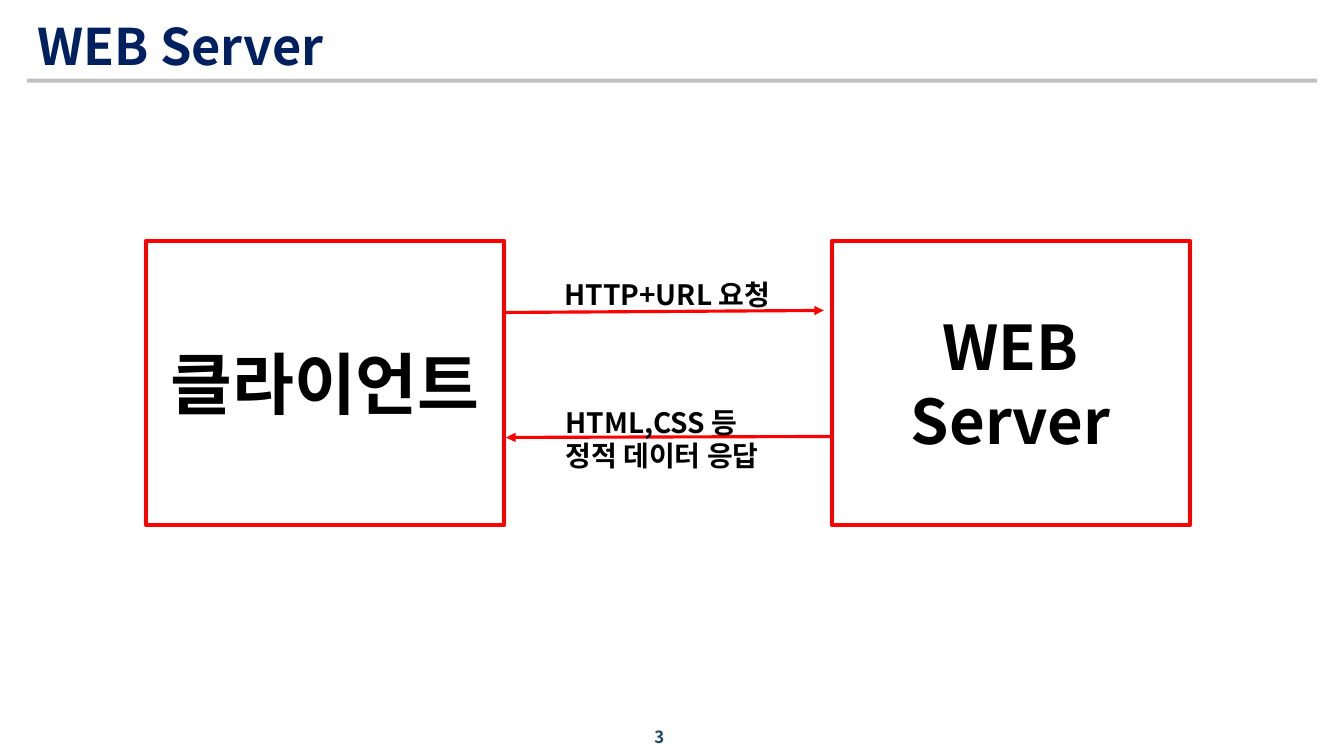
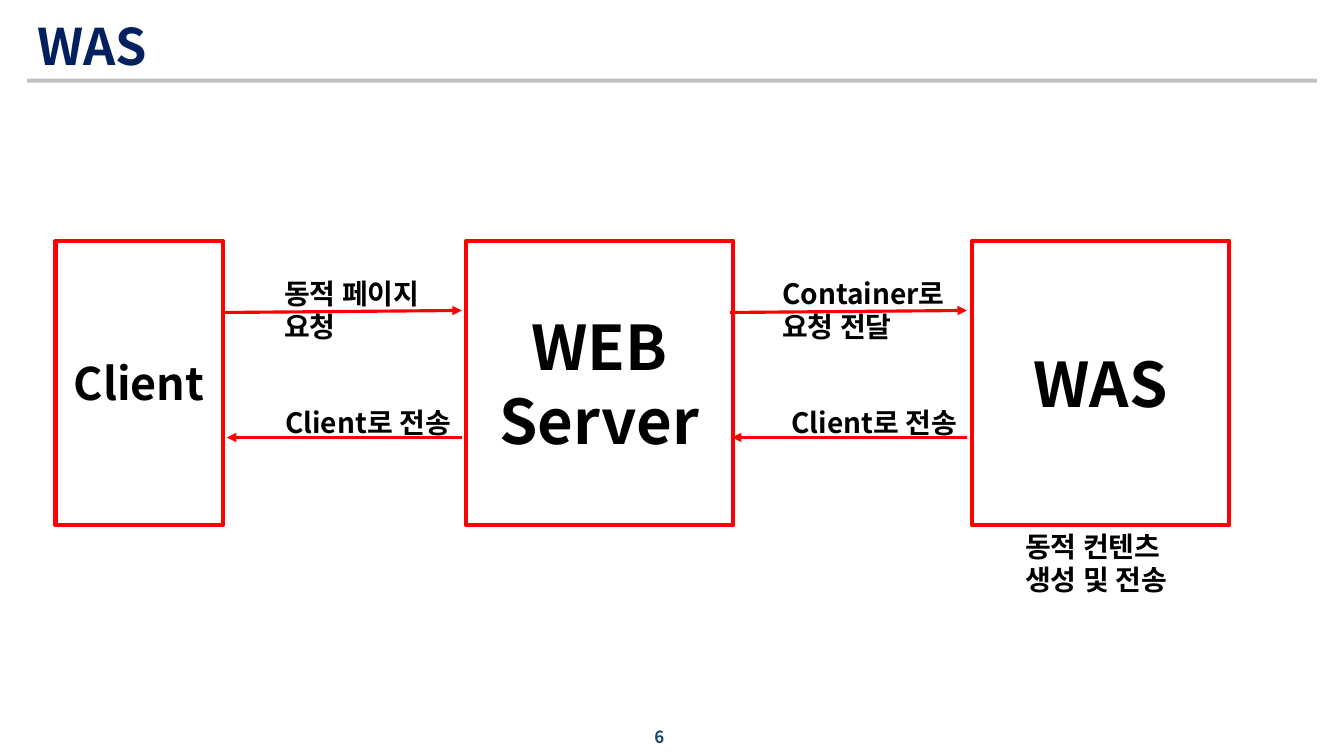
from dataclasses import dataclass

from lxml.etree import SubElement as Sub
from pptx import Presentation
from pptx.dml.color import RGBColor
from pptx.enum.shapes import MSO_CONNECTOR as Conn, MSO_SHAPE as Form
from pptx.enum.text import MSO_ANCHOR as Anchor, MSO_AUTO_SIZE as Auto, PP_ALIGN as Align
from pptx.oxml.ns import qn
from pptx.util import Emu, Pt

SCALE = 9144  # one px is 1/100 inch
FACE = "Noto Sans CJK KR"
NAVY, BLUE, GRAY, RED, BLACK = "002060", "18476D", "C0C0C0", "FF0000", "000000"
TOP, HIGH = 239, 282  # row of boxes


@dataclass
class Box:
    text: str
    left: int
    width: int
    size: int = 44


@dataclass
class Arrow:
    start: tuple[int, int]
    end: tuple[int, int]


@dataclass
class Label:
    lines: list[str]
    left: int
    top: int
    width: int
    height: int = 77


@dataclass
class Page:
    title: str
    number: str
    boxes: list[Box]
    arrows: list[Arrow]
    labels: list[Label]


PAGES = [
    Page(
        "WEB Server", "3",
        [Box("클라이언트", 145, 355, 48), Box("WEB Server", 825, 355)],
        [Arrow((500, 310), (817, 308)), Arrow((825, 433), (502, 434))],
        [Label(["HTTP+URL 요청"], 550, 270, 261, 44),
         Label(["HTML,CSS 등", "정적 데이터 응답"], 551, 397, 260)],
    ),
    Page(
        "WAS", "6",
        [Box("Client", 55, 166, 32), Box("WEB Server", 462, 265), Box("WAS", 964, 255)],
        [arrow for x in (223, 724) for arrow in (
            Arrow((x, 310), (x + 235, 308)), Arrow((x + 235, 434), (x + 2, 434)))],
        [Label(["동적 페이지 요청"], 272, 269, 186),
         Label(["Client로 전송"], 273, 397, 260, 44),
         Label(["Container로 요청 전달"], 766, 269, 184),
         Label(["Client로 전송"], 775, 397, 260, 44),
         Label(["동적 컨텐츠 생성 및 전송"], 1007, 520, 184)],
    ),
]


def px(*nums: int) -> list[Emu]:
    return [Emu(num * SCALE) for num in nums]


def color(code: str) -> RGBColor:
    return RGBColor.from_string(code)


def apply(item, form: dict) -> None:
    for key, value in form.items():
        setattr(item, key, value)


def write(shape, lines: list[str], size: int, ink: str = BLACK,
          align=Align.LEFT, **form) -> None:
    """Fill a shape with bold text, one paragraph per line."""
    frame = shape.text_frame
    apply(frame, {"word_wrap": True, "auto_size": Auto.NONE} | form)
    frame.text = "\n".join(lines)
    for para in frame.paragraphs:
        para.alignment = align
        for run in para.runs:
            run.font.color.rgb = color(ink)
            apply(run.font, {"size": Pt(size), "bold": True, "name": FACE})
            Sub(run.font._element, qn("a:ea"), typeface=FACE)


def add_frame(slide, page: Page) -> None:
    """Title, rule and page number shared by all slides."""
    rule = slide.shapes.add_shape(Form.RECTANGLE, *px(27, 78, 1279, 4))
    rule.shadow.inherit = False
    rule.fill.solid()
    rule.fill.fore_color.rgb = color(GRAY)
    rule.line.fill.background()

    title = slide.shapes.title
    apply(title, dict(zip(("left", "top", "width", "height"), px(27, 10, 1276, 70))))
    write(title, [page.title], 36, NAVY, vertical_anchor=Anchor.MIDDLE)

    number = slide.shapes.add_textbox(*px(649, 713, 34, 36))
    write(number, [page.number], 12, BLUE, vertical_anchor=Anchor.MIDDLE,
          word_wrap=False, margin_left=0, margin_right=0)


def add_box(slide, box: Box) -> None:
    shape = slide.shapes.add_shape(Form.RECTANGLE, *px(box.left, TOP, box.width, HIGH))
    shape.shadow.inherit = False
    shape.fill.background()
    shape.line.color.rgb = color(RED)
    shape.line.width = Pt(3)
    write(shape, [box.text], box.size, align=Align.CENTER, vertical_anchor=Anchor.MIDDLE)


def add_arrow(slide, arrow: Arrow) -> None:
    link = slide.shapes.add_connector(Conn.STRAIGHT, *px(*arrow.start, *arrow.end))
    link.line.color.rgb = color(RED)
    link.line.width = Pt(2.25)
    Sub(link.line._get_or_add_ln(), qn("a:tailEnd"), type="triangle")
    Sub(link._element.spPr, qn("a:effectLst"))


def add_label(slide, label: Label) -> None:
    area = px(label.left, label.top, label.width, label.height)
    write(slide.shapes.add_textbox(*area), label.lines, 20,
          auto_size=Auto.SHAPE_TO_FIT_TEXT)


def main() -> None:
    deck = Presentation()
    deck.slide_width, deck.slide_height = px(1333, 750)
    for page in PAGES:
        slide = deck.slides.add_slide(deck.slide_layouts[5])
        add_frame(slide, page)
        for draw, items in ((add_box, page.boxes), (add_arrow, page.arrows),
                            (add_label, page.labels)):
            for item in items:
                draw(slide, item)
    deck.save("out.pptx")


if __name__ == "__main__":
    main()
